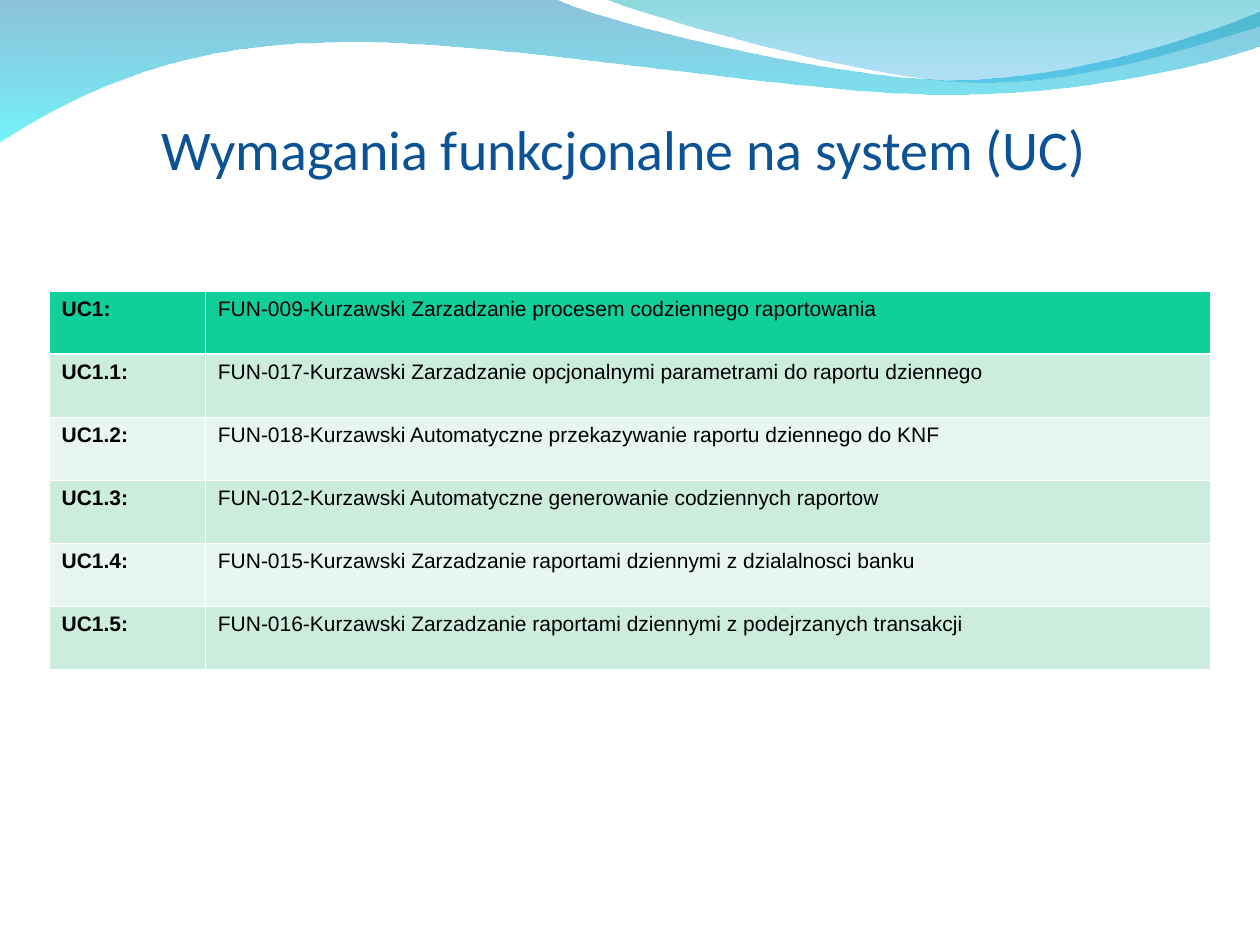
from lxml import etree
from pptx import Presentation, util as u
from pptx.dml.color import RGBColor
from pptx.enum import text
from pptx.oxml import ns

Cm, Pt = u.Cm, u.Pt

# Outlines in cm: a start point, then lines (x, y) or cubic curves (x1, y1, x2, y2, x, y)
LONG_WAVE = [
    (0, -0.03), (11.18, -0.03),
    (12.09, 0.43, 16.87, 1.6, 19.25, 1.6),
    (21.67, 1.6, 24.33, 0.66, 25.4, 0.23),
    (25.43, 0.91),
    (24.97, 1.12, 22.1, 1.93, 18.95, 1.9),
    (15.8, 1.9, 9.7, 0.71, 6.53, 0.86),
    (3.28, 0.89, 1.17, 2.11, -0.03, 2.87),
    (0, -0.03),
]
SHORT_WAVE = [
    (12.17, -0.03),
    (12.93, 0.28, 17.32, 1.57, 19.53, 1.65),
    (21.74, 1.75, 24.41, 0.81, 25.4, 0.53),
    (25.4, 0), (12.17, -0.03),
]
USE_CASES = [
    ("UC1:", "FUN-009-Kurzawski Zarzadzanie procesem codziennego raportowania"),
    ("UC1.1:", "FUN-017-Kurzawski Zarzadzanie opcjonalnymi parametrami do raportu dziennego"),
    ("UC1.2:", "FUN-018-Kurzawski Automatyczne przekazywanie raportu dziennego do KNF"),
    ("UC1.3:", "FUN-012-Kurzawski Automatyczne generowanie codziennych raportow"),
    ("UC1.4:", "FUN-015-Kurzawski Zarzadzanie raportami dziennymi z dzialalnosci banku"),
    ("UC1.5:", "FUN-016-Kurzawski Zarzadzanie raportami dziennymi z podejrzanych transakcji"),
]


def rgb(color):
    return RGBColor.from_string(color)


class Deck:
    TITLE, BODY = "Calibri", "Arial"
    BLUE, BLACK, WHITE = "0B5395", "000000", "FFFFFF"
    HEAD, BANDS = "10CF9B", ("E7F6EF", "CCEDDE")
    THIN, THICK = 0.45, 1.47

    def __init__(self, s):
        self.s = s

    def outline(self, segments):
        """Build a closed freeform through the end points, then bend its curved segments."""
        start, *rest = [(Cm(seg[-2]), Cm(seg[-1])) for seg in segments]
        builder = self.s.shapes.build_freeform(*start, scale=1.0)
        builder.add_line_segments(rest, close=True)
        sp = builder.convert_to_shape()
        lines = list(sp._element.spPr.iter(ns.qn("a:lnTo")))
        for line, seg in zip(lines, segments[1:]):
            if len(seg) == 6:
                line.tag = ns.qn("a:cubicBezTo")
                for i, (x, y) in enumerate((seg[:2], seg[2:4])):
                    pt = etree.Element(ns.qn("a:pt"), x=str(Cm(x) - sp.left),
                                       y=str(Cm(y) - sp.top))
                    line.insert(i, pt)
        return sp

    def wave(self, segments, stops):
        """Draw a borderless outline, filled top to bottom with (colour, opacity %) stops."""
        sp = self.outline(segments)
        sp.shadow.inherit = False
        sp.line.fill.background()
        sp.fill.gradient()
        sp.fill.gradient_angle = 270
        for stop, (color, _) in zip(sp.fill.gradient_stops, stops):
            stop.color.rgb = rgb(color)
        colors = list(sp._element.spPr.iter(ns.qn("a:srgbClr")))
        for clr, (_, opacity) in zip(colors, stops):
            etree.SubElement(clr, ns.qn("a:alpha"), val=str(opacity * 1000))

    def style(self, p, font, size, color, bold=False):
        f = p.font
        f.name, f.size, f.bold = font, Pt(size), bold
        f.color.rgb = rgb(color)

    def title(self, words, x, y, w, h):
        tf = self.s.shapes.add_textbox(Cm(x), Cm(y), Cm(w), Cm(h)).text_frame
        tf.word_wrap = True
        tf.vertical_anchor = text.MSO_ANCHOR.MIDDLE
        p = tf.paragraphs[0]
        p.text = words
        p.alignment = text.PP_ALIGN.CENTER
        self.style(p, self.TITLE, 32, self.BLUE)

    def borders(self, cell, **widths):
        """Set the cell's borders; the fill must be set afterwards."""
        pr = cell._tc.get_or_add_tcPr()
        for side in "LRTB":
            width = Pt(widths.get(side, self.THIN))
            ln = etree.SubElement(pr, ns.qn(f"a:ln{side}"), w=str(width))
            fill = etree.SubElement(ln, ns.qn("a:solidFill"))
            etree.SubElement(fill, ns.qn("a:srgbClr"), val=self.WHITE)

    def table(self, rows, x, y, widths, row_h):
        frame = self.s.shapes.add_table(len(rows), len(widths), Cm(x), Cm(y),
                                        Cm(sum(widths)), Cm(row_h * len(rows)))
        tbl = frame.table
        for col, w in zip(tbl.columns, widths):
            col.width = Cm(w)
        for i, row in enumerate(rows):
            tbl.rows[i].height = Cm(row_h)
            for j, words in enumerate(row):
                cell = tbl.cell(i, j)
                self.borders(cell, T=self.THICK if i == 1 else self.THIN,
                             B=self.THICK if i == 0 else self.THIN)
                cell.fill.solid()
                cell.fill.fore_color.rgb = rgb(self.BANDS[i % 2] if i else self.HEAD)
                cell.margin_top = Cm(0.12)
                p = cell.text_frame.paragraphs[0]
                p.text = words
                self.style(p, self.BODY, 12, self.BLACK, bold=j == 0)


def main():
    prs = Presentation()
    prs.slide_width, prs.slide_height = Cm(25.4), Cm(19.05)
    deck = Deck(prs.slides.add_slide(prs.slide_layouts[6]))
    deck.wave(LONG_WAVE, [("0079AF", 45), ("00EBF8", 55)])
    deck.wave(SHORT_WAVE, [("00ADB6", 45), ("009BE5", 30)])
    deck.title("Wymagania funkcjonalne na system (UC)", 1.79, 1.79, 21.59, 2.39)
    deck.table(USE_CASES, 0.99, 5.87, (3.15, 20.26), 1.27)
    prs.save("out.pptx")


if __name__ == "__main__":
    main()
